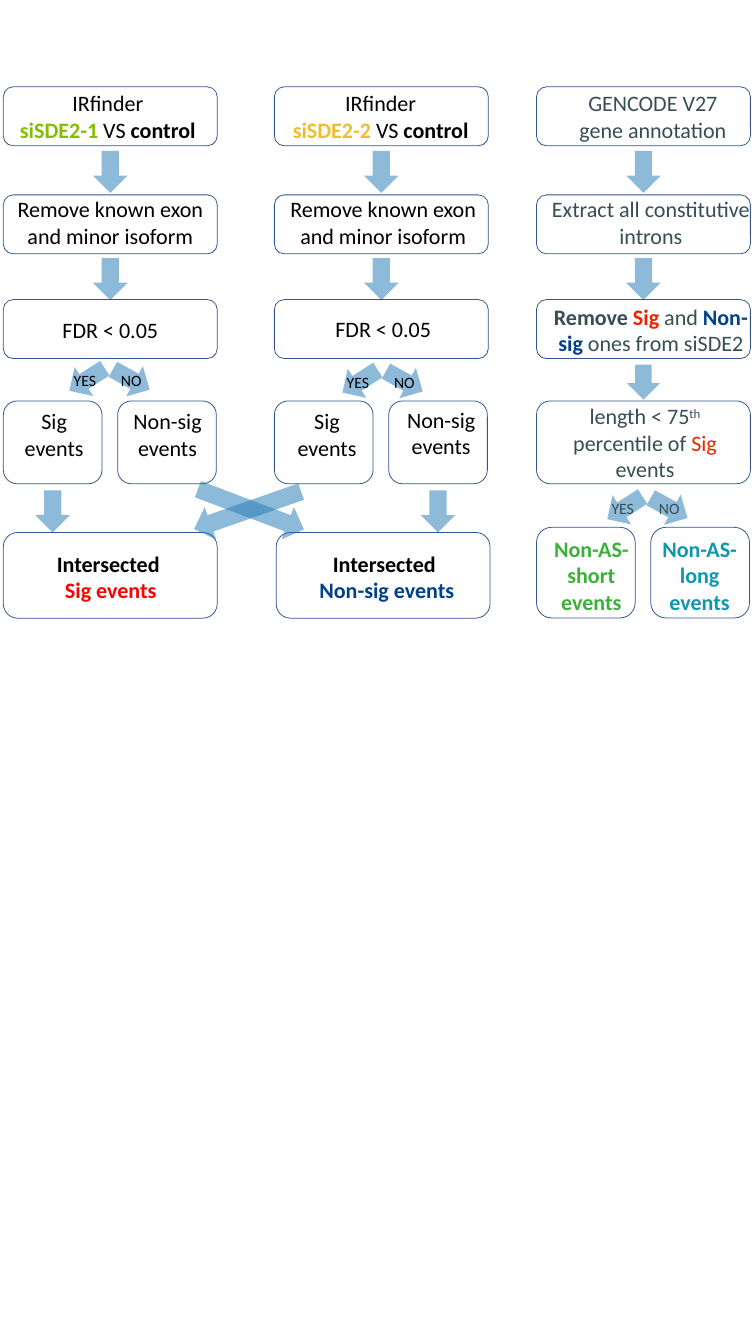
from dataclasses import dataclass
from lxml.etree import SubElement
from pptx import Presentation
from pptx.dml.color import RGBColor
from pptx.enum.shapes import MSO_SHAPE
from pptx.enum.text import MSO_AUTO_SIZE, PP_ALIGN
from pptx.oxml.ns import qn
from pptx.util import Cm, Pt


@dataclass(frozen=True)
class Theme:
    font: str = "Calibri"
    body: int = 28
    small: int = 20
    black: str = "000000"
    slate: str = "364E54"
    lime: str = "84BE00"
    gold: str = "F0BE2C"
    red: str = "FF0000"
    brick: str = "ED2201"
    navy: str = "004188"
    green: str = "3CB13A"
    teal: str = "0E98AF"
    edge: str = "325491"
    arrow: str = "1F77B4"
    alpha: int = 50000


T = Theme()


def plain(color, *lines, bold=False):
    return [[(line, color, bold)] for line in lines]


def versus(name, color, gap):
    return [[("IRfinder ", T.black, False)],
            [(name + gap[0], color, True), (gap[1] + "VS ", T.black, False),
             ("control ", T.black, True)]]


def result(name, color):
    return [[("Intersected ", T.black, True)], [(name, color, True)]]


known = plain(T.black, "Remove known exon and minor isoform")
cutoff = plain(T.black, "FDR < 0.05")
sig = plain(T.black, "Sig", "events")
nonsig = plain(T.black, "Non-sig", "events")
remove = [[("Remove ", T.slate, True), ("Sig ", T.brick, True),
           ("and ", T.slate, False), ("Non-sig", T.navy, True),
           (" ones from siSDE2", T.slate, False)]]
length = [[("length < 75", T.slate, False), ("th", T.slate, False, True),
           (" percentile of ", T.slate, False), ("Sig", T.brick, False),
           (" events", T.slate, False)]]

LABELS = [
    (0.15, 3.89, 9.58, 2.64, versus("siSDE2-1", T.lime, (" ", ""))),
    (12.37, 3.89, 9.58, 2.64, versus("siSDE2-2", T.gold, ("", " "))),
    (24.56, 3.89, 9.58, 2.64, plain(T.slate, "GENCODE V27 ", "gene annotation ")),
    (0.15, 8.64, 9.58, 2.64, known),
    (12.37, 8.64, 9.58, 2.64, known),
    (24.36, 8.64, 9.58, 2.64, plain(T.slate, "Extract all constitutive introns")),
    (0.15, 14.05, 9.58, 1.45, cutoff),
    (12.37, 14.0, 9.58, 1.45, cutoff),
    (24.36, 13.46, 9.58, 2.64, remove),
    (0.15, 18.14, 4.55, 2.64, sig),
    (4.75, 18.14, 5.51, 2.64, nonsig),
    (12.37, 18.14, 4.55, 2.64, sig),
    (17.45, 18.06, 4.62, 2.64, nonsig),
    (24.56, 17.91, 8.66, 3.84, length),
    (1.3, 24.51, 7.32, 2.64, result("Sig events", T.red)),
    (13.64, 24.51, 7.37, 2.64, result("Non-sig events", T.navy)),
    (24.21, 23.85, 4.55, 3.84, plain(T.green, "Non-AS-short", "events", bold=True)),
    (29.06, 23.85, 4.55, 3.84, plain(T.teal, "Non-AS-long", "events", bold=True)),
]

COLS = (0.15, 12.29, 24.03)
ROWS = (3.89, 8.73, 13.42)
WIDE, HALF, STEP = 9.58, 4.42, 5.12
TALL, SPLIT, LAST = 2.64, 17.96, 23.85
DROPS = (6.76, 11.56)
FORKS = [(4.89, 16.06, T.black), (17.12, 16.14, T.black), (28.98, 21.81, T.slate)]
TURNS = [("YES", -0.99, 57.4, -1.84), ("NO", 0.99, 298.9, 0.28)]
CROSS = [(11.09, 22.86, 70.7), (11.24, 22.81, 290.8)]
SHAFT, HEAD, LONG = 1.55, 1.88, 5.08

deck = Presentation()
deck.slide_width, deck.slide_height = Cm(33.86), Cm(60.2)
slide = deck.slides.add_slide(deck.slide_layouts[6])
shapes = slide.shapes


def label(x, y, w, h, paras, size=T.body, align=PP_ALIGN.CENTER):
    frame = shapes.add_textbox(Cm(x), Cm(y), Cm(w), Cm(h)).text_frame
    frame.word_wrap = True
    frame.auto_size = MSO_AUTO_SIZE.SHAPE_TO_FIT_TEXT
    for i, runs in enumerate(paras):
        para = frame.add_paragraph() if i else frame.paragraphs[0]
        para.alignment = align
        for text, color, bold, *raised in runs:
            run = para.add_run()
            run.text = text
            font = run.font
            font.name, font.size, font.bold = T.font, Pt(size), bold
            font.color.rgb = RGBColor.from_string(color)
            if raised:
                run._r.get_or_add_rPr().set("baseline", "30000")


def box(x, y, w, h):
    shape = shapes.add_shape(MSO_SHAPE.ROUNDED_RECTANGLE, Cm(x), Cm(y), Cm(w), Cm(h))
    shape.shadow.inherit = False
    shape.fill.background()
    shape.line.color.rgb = RGBColor.from_string(T.edge)
    shape.line.width = Pt(1)


def arrow(mid, top, w=SHAFT, h=HEAD, turn=0):
    shape = shapes.add_shape(MSO_SHAPE.DOWN_ARROW, Cm(mid - w / 2), Cm(top), Cm(w), Cm(h))
    shape.shadow.inherit = False
    shape.rotation = turn
    shape.fill.solid()
    shape.fill.fore_color.rgb = RGBColor.from_string(T.arrow)
    tint = shape._element.spPr.find(qn("a:solidFill")).find(qn("a:srgbClr"))
    SubElement(tint, qn("a:alpha")).set("val", str(T.alpha))
    shape.line.fill.background()


def main():
    for item in LABELS:
        label(*item)

    for x in COLS:
        for y in ROWS:
            box(x, y, WIDE, TALL)
    for x in COLS[:2]:
        for k in range(2):
            box(x + k * STEP, SPLIT, HALF, 3.71)
    for x in (COLS[0], 12.37):
        box(x, LAST, WIDE, 3.84)
    box(COLS[2], SPLIT, WIDE, 3.71)
    for k in range(2):
        box(COLS[2] + k * STEP, 23.62, HALF, 4.06)

    for x in COLS:
        for y in DROPS:
            arrow(x + WIDE / 2, y)
    arrow(COLS[2] + WIDE / 2, 16.33, 1.47, 1.57)
    for k, x in enumerate(COLS[:2]):
        arrow(x + k * STEP + HALF / 2, 21.97)
    for mid, y, turn in CROSS:
        arrow(mid, y - LONG / 2, h=LONG, turn=turn)
    for mid, top, color in FORKS:
        for word, shift, turn, start in TURNS:
            arrow(mid + shift, top, turn=turn)
            label(mid + start, top + 0.42, 1.85, 1.12, plain(color, word),
                  T.small, PP_ALIGN.LEFT)

    deck.save("out.pptx")


if __name__ == "__main__":
    main()
